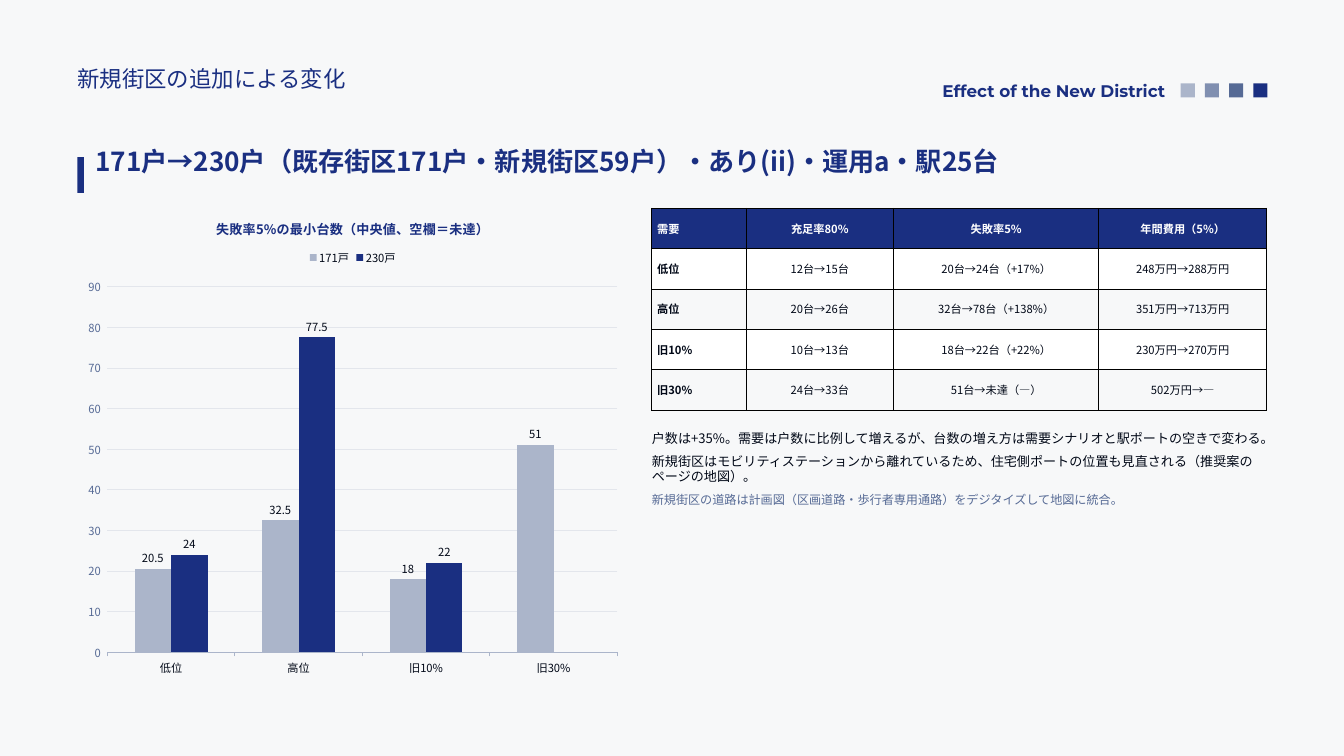
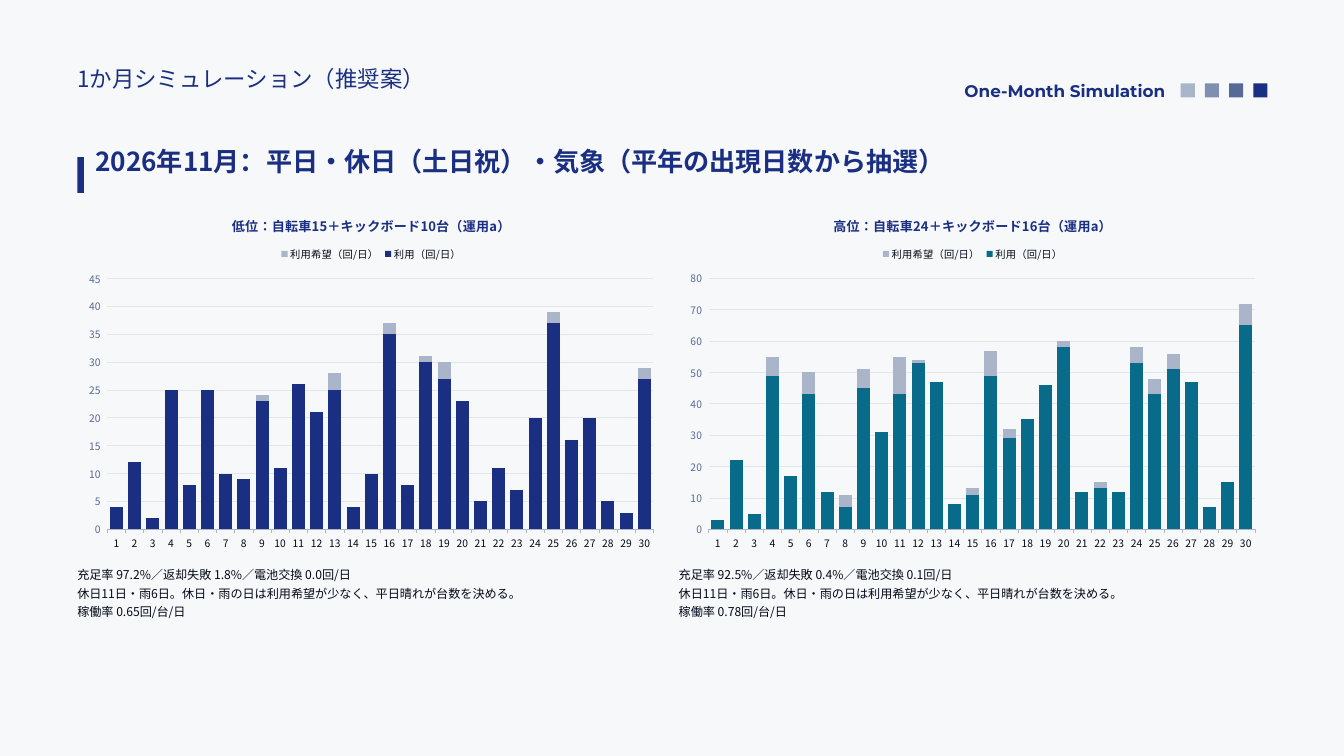
from lxml import etree
from pptx import Presentation
from pptx.chart.data import CategoryChartData
from pptx.dml.color import RGBColor
from pptx.enum.chart import XL_CHART_TYPE, XL_LABEL_POSITION, XL_LEGEND_POSITION, XL_TICK_MARK
from pptx.enum.shapes import MSO_SHAPE
from pptx.enum.text import MSO_ANCHOR, MSO_AUTO_SIZE, PP_ALIGN
from pptx.oxml.ns import qn
from pptx.util import Inches, Pt

CLUSTERED = XL_CHART_TYPE.COLUMN_CLUSTERED
OUTSIDE_END = XL_LABEL_POSITION.OUTSIDE_END
LEGEND_TOP = XL_LEGEND_POSITION.TOP
TICK_OUTSIDE = XL_TICK_MARK.OUTSIDE
RECTANGLE = MSO_SHAPE.RECTANGLE
MIDDLE = MSO_ANCHOR.MIDDLE
GROW = MSO_AUTO_SIZE.SHAPE_TO_FIT_TEXT
LEFT, CENTER, RIGHT = PP_ALIGN.LEFT, PP_ALIGN.CENTER, PP_ALIGN.RIGHT

NAVY = RGBColor(0x1A, 0x2F, 0x81)
SLATE = RGBColor(0x56, 0x6A, 0x95)
STEEL = RGBColor(0x80, 0x8F, 0xB0)
MIST = RGBColor(0xAB, 0xB5, 0xCA)
TEAL = RGBColor(0x08, 0x6B, 0x89)
INK = RGBColor(0x01, 0x08, 0x17)
GRID_LINE = RGBColor(0xE3, 0xE6, 0xEC)
PAPER = RGBColor(0xF7, 0xF8, 0xF9)
WHITE = RGBColor(0xFF, 0xFF, 0xFF)
BLACK = RGBColor(0, 0, 0)

BODY_FONT = "Noto Sans CJK JP"
LABEL_FONT = "Montserrat"

SLIDE_WIDTH, SLIDE_HEIGHT = Inches(20), Inches(11.25)
COLUMNS = 20
UNIT = SLIDE_WIDTH / COLUMNS
MARGIN = 1.15
CONTENT_TOP = 3
CONTENT_RIGHT = COLUMNS - MARGIN

DEMAND_HEADER = ["需要", "充足率80%", "失敗率5%", "年間費用（5%）"]
DEMAND_ROWS = [
    ["低位", "12台→15台", "20台→24台（+17%）", "248万円→288万円"],
    ["高位", "20台→26台", "32台→78台（+138%）", "351万円→713万円"],
    ["旧10%", "10台→13台", "18台→22台（+22%）", "230万円→270万円"],
    ["旧30%", "24台→33台", "51台→未達（—）", "502万円→—"],
]
DEMAND_COLUMNS = [1.4, 2.2, 3.05, 2.5]
BIKES_BEFORE = [20.5, 32.5, 18, 51]
BIKES_AFTER = [24, 77.5, 22, None]
DISTRICT_NOTES = [
    ("戸数は+35%。需要は戸数に比例して増えるが、台数の増え方は需要シナリオと駅ポートの空きで変わる。", 14, INK),
    ("新規街区はモビリティステーションから離れているため、住宅側ポートの位置も見直される（推奨案のページの地図）。", 14, INK),
    ("新規街区の道路は計画図（区画道路・歩行者専用通路）をデジタイズして地図に統合。", 13, SLATE),
]

LOW_WANTED = [4, 12, 2, 25, 8, 25, 10, 9, 24, 11, 26, 21, 28, 4, 10,
              37, 8, 31, 30, 23, 5, 11, 7, 20, 39, 16, 20, 5, 3, 29]
LOW_USED = [4, 12, 2, 25, 8, 25, 10, 9, 23, 11, 26, 21, 25, 4, 10,
            35, 8, 30, 27, 23, 5, 11, 7, 20, 37, 16, 20, 5, 3, 27]
HIGH_WANTED = [3, 22, 5, 55, 17, 50, 12, 11, 51, 31, 55, 54, 47, 8, 13,
               57, 32, 35, 46, 60, 12, 15, 12, 58, 48, 56, 47, 7, 15, 72]
HIGH_USED = [3, 22, 5, 49, 17, 43, 12, 7, 45, 31, 43, 53, 47, 8, 11,
             49, 29, 35, 46, 58, 12, 13, 12, 53, 43, 51, 47, 7, 15, 65]
SCENARIOS = [
    ("低位：自転車15＋キックボード10台（運用a）", LOW_WANTED, LOW_USED, NAVY,
     "充足率 97.2%／返却失敗 1.8%／電池交換 0.0回/日", "稼働率 0.65回/台/日"),
    ("高位：自転車24＋キックボード16台（運用a）", HIGH_WANTED, HIGH_USED, TEAL,
     "充足率 92.5%／返却失敗 0.4%／電池交換 0.1回/日", "稼働率 0.78回/台/日"),
]
WEATHER_NOTE = "休日11日・雨6日。休日・雨の日は利用希望が少なく、平日晴れが台数を決める。"


def grid(*cells):
    """Turn grid columns and rows into slide lengths."""
    return [round(cell * UNIT) for cell in cells]


def style_font(font, size, color, bold=False, name=BODY_FONT):
    """Set the size, colour, weight and typeface of a font."""
    font.size, font.bold, font.name = Pt(size), bold, name
    font.color.rgb = color


def style_runs(paragraph, size, color, bold=False, name=BODY_FONT):
    """Format every run, for East Asian characters too."""
    for run in paragraph.runs:
        style_font(run.font, size, color, bold, name)
        properties = run._r.get_or_add_rPr()
        etree.SubElement(properties, qn("a:ea")).set("typeface", name)


def add_block(slide, area, color):
    """Add a plain coloured rectangle."""
    shape = slide.shapes.add_shape(RECTANGLE, *grid(*area))
    shape.shadow.inherit = False
    shape.fill.solid()
    shape.fill.fore_color.rgb = color
    shape.line.fill.background()


def add_text(slide, area, lines, bold=False, name=BODY_FONT,
             alignment=LEFT, leading=None, after=None):
    """Add a text box with one paragraph for each (text, size, colour)."""
    frame = slide.shapes.add_textbox(*grid(*area)).text_frame
    frame.word_wrap = True
    frame.auto_size = GROW
    frame.margin_left = frame.margin_right = frame.margin_top = frame.margin_bottom = 0
    frame.text = "\n".join(text for text, _, _ in lines)
    for paragraph, (_, size, color) in zip(frame.paragraphs, lines):
        paragraph.alignment = alignment
        if leading:
            paragraph.line_spacing = Pt(size * leading)
        if after:
            paragraph.space_after = Pt(after)
        style_runs(paragraph, size, color, bold, name)


def add_page(presentation, topic, label, headline):
    """Add a slide with the shared header."""
    slide = presentation.slides.add_slide(presentation.slide_layouts[6])
    slide.background.fill.solid()
    slide.background.fill.fore_color.rgb = PAPER
    add_block(slide, (MARGIN, 2.34, 0.1, 0.53), NAVY)
    for index, color in enumerate([MIST, STEEL, SLATE, NAVY]):
        add_block(slide, (17.57 + 0.36 * index, 1.24, 0.21, 0.21), color)
    add_text(slide, (1.42, 2.09, 17.4, 0.75), [(headline, 28, NAVY)], bold=True, leading=1.4)
    add_text(slide, (MARGIN, 0.91, 8.85, 0.63), [(topic, 24, NAVY)], leading=1.4)
    add_text(slide, (10.03, 1.15, 7.31, 0.34), [(label, 18, NAVY)], bold=True,
             name=LABEL_FONT, alignment=RIGHT, leading=1.4)
    return slide


def style_axes(chart, size):
    """Give the axes their lines, ticks and label fonts."""
    category_axis, value_axis = chart.category_axis, chart.value_axis
    for axis, color in ((category_axis, INK), (value_axis, SLATE)):
        axis.major_tick_mark = TICK_OUTSIDE
        style_font(axis.tick_labels.font, size, color)
    category_axis.format.line.color.rgb = MIST
    category_axis.format.line.width = Pt(0.75)
    value_axis.minimum_scale = 0
    value_axis.format.line.fill.background()
    value_axis.major_gridlines.format.line.color.rgb = GRID_LINE
    value_axis.major_gridlines.format.line.width = Pt(0.75)


def add_column_chart(slide, area, title, categories, series, size, gap, overlap=0, labelled=False):
    """Add a column chart from (name, values, colour) series."""
    data = CategoryChartData()
    data.categories = categories
    for name, values, _ in series:
        data.add_series(name, values)
    chart = slide.shapes.add_chart(CLUSTERED, *grid(*area), data).chart
    style_font(chart.font, size, INK)
    chart.has_title = True
    chart.chart_title.include_in_layout = False
    chart.chart_title.text_frame.text = title
    style_runs(chart.chart_title.text_frame.paragraphs[0], 14, NAVY, bold=True)
    chart.has_legend = True
    chart.legend.position = LEGEND_TOP
    chart.legend.include_in_layout = False
    style_font(chart.legend.font, size, INK)
    style_axes(chart, size)
    plot = chart.plots[0]
    plot.vary_by_categories = False
    plot.gap_width, plot.overlap = gap, overlap
    for columns, (_, _, color) in zip(plot.series, series):
        columns.format.fill.solid()
        columns.format.fill.fore_color.rgb = color
        if labelled:
            labels = columns.data_labels
            labels.show_value = True
            labels.position = OUTSIDE_END
            style_font(labels.font, size, INK)


def add_borders(cell):
    """Draw a thin black line on each side of a cell."""
    properties = cell._tc.get_or_add_tcPr()
    for side in ("a:lnL", "a:lnR", "a:lnT", "a:lnB"):
        line = etree.SubElement(properties, qn(side), w=str(Pt(1)))
        fill = etree.SubElement(line, qn("a:solidFill"))
        etree.SubElement(fill, qn("a:srgbClr"), val=str(BLACK))


def fill_cell(cell, text, fill, color, bold, alignment):
    """Write and format one table cell."""
    cell.margin_left = cell.margin_right = Inches(0.08)
    cell.margin_top = cell.margin_bottom = Inches(0.03)
    cell.vertical_anchor = MIDDLE
    add_borders(cell)
    cell.fill.solid()
    cell.fill.fore_color.rgb = fill
    cell.text = text
    paragraph = cell.text_frame.paragraphs[0]
    paragraph.alignment = alignment
    style_runs(paragraph, 12, color, bold)


def add_demand_table(slide, left, top, row_height):
    """Add the table of bikes and cost by demand level."""
    rows = [DEMAND_HEADER] + DEMAND_ROWS
    area = grid(left, top, sum(DEMAND_COLUMNS), row_height * len(rows))
    table = slide.shapes.add_table(len(rows), len(DEMAND_COLUMNS), *area).table
    table.horz_banding = False
    for column, width in zip(table.columns, grid(*DEMAND_COLUMNS)):
        column.width = width
    for row_index, row in enumerate(rows):
        header = row_index == 0
        fill = NAVY if header else (PAPER, WHITE)[row_index % 2]
        for column_index, text in enumerate(row):
            first = column_index == 0
            fill_cell(table.cell(row_index, column_index), text, fill,
                      WHITE if header else INK, header or first, LEFT if first else CENTER)


def build_district_slide(presentation):
    """Build the slide on the new district."""
    slide = add_page(presentation, "新規街区の追加による変化", "Effect of the New District",
                     "171戸→230戸（既存街区171戸・新規街区59戸）・あり(ii)・運用a・駅25台")
    add_column_chart(slide, (MARGIN, CONTENT_TOP, 8.2, 7.2), "失敗率5%の最小台数（中央値、空欄＝未達）",
                     [row[0] for row in DEMAND_ROWS],
                     [("171戸", BIKES_BEFORE, MIST), ("230戸", BIKES_AFTER, NAVY)],
                     size=12, gap=150, labelled=True)
    width = sum(DEMAND_COLUMNS)
    left = CONTENT_RIGHT - width
    add_demand_table(slide, left, CONTENT_TOP + 0.1, 0.6)
    add_text(slide, (left, 6.4, width, 3.8), DISTRICT_NOTES, after=8)


def build_month_slide(presentation):
    """Build the slide on the one-month simulation."""
    slide = add_page(presentation, "1か月シミュレーション（推奨案）", "One-Month Simulation",
                     "2026年11月：平日・休日（土日祝）・気象（平年の出現日数から抽選）")
    days = [str(day) for day in range(1, 31)]
    width, gutter = 8.75, 0.2
    for index, (title, wanted, used, color, rates, turnover) in enumerate(SCENARIOS):
        left = MARGIN + index * (width + gutter)
        add_column_chart(slide, (left, CONTENT_TOP, width, 5.3), title, days,
                         [("利用希望（回/日）", wanted, MIST), ("利用（回/日）", used, color)],
                         size=11, gap=40, overlap=100)
        notes = [(text, 13, INK) for text in (rates, WEATHER_NOTE, turnover)]
        add_text(slide, (left, 8.45, width, 1.9), notes, after=4)


def main():
    """Build and save the presentation."""
    presentation = Presentation()
    presentation.slide_width, presentation.slide_height = SLIDE_WIDTH, SLIDE_HEIGHT
    build_district_slide(presentation)
    build_month_slide(presentation)
    presentation.save("out.pptx")


if __name__ == "__main__":
    main()
